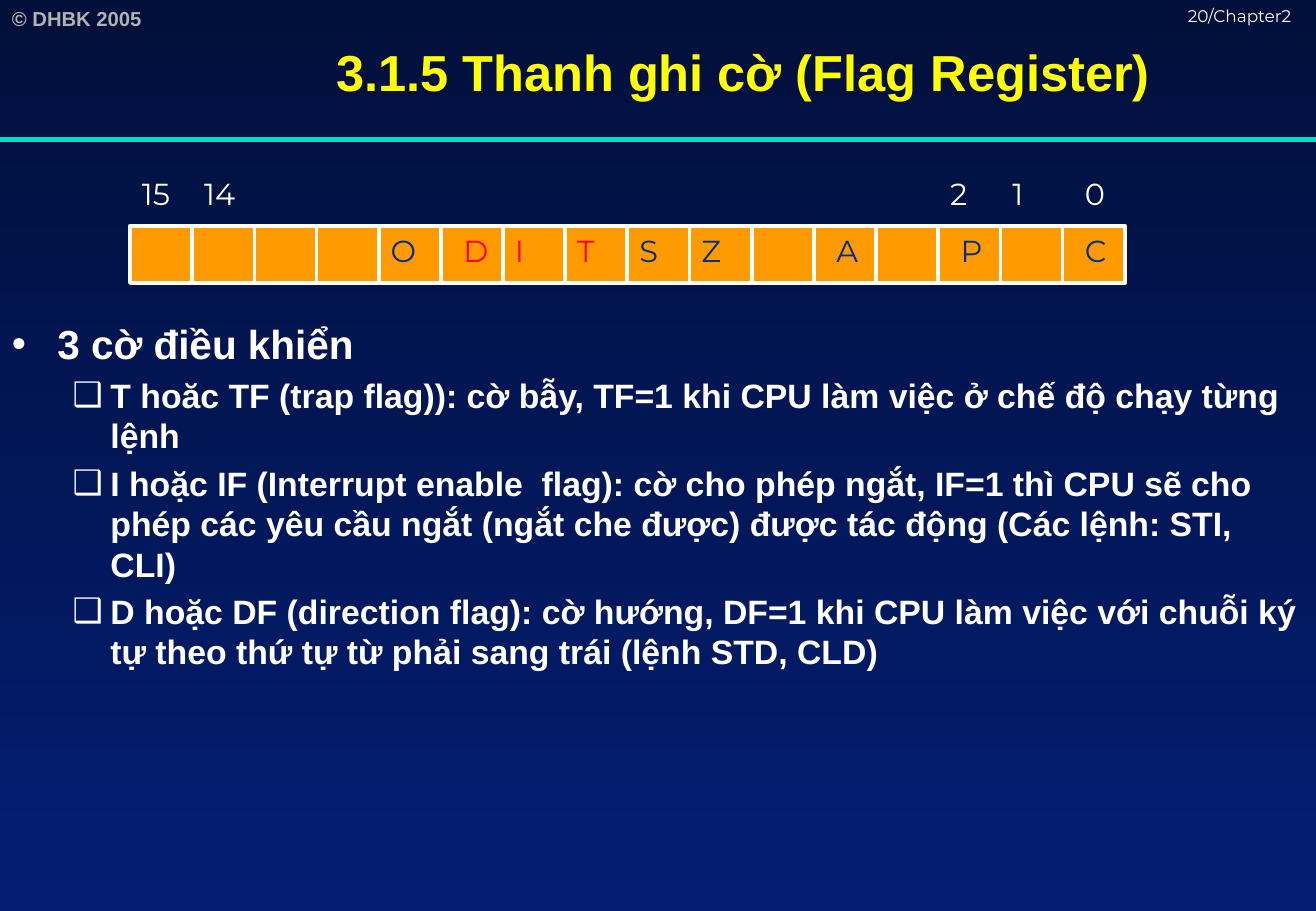
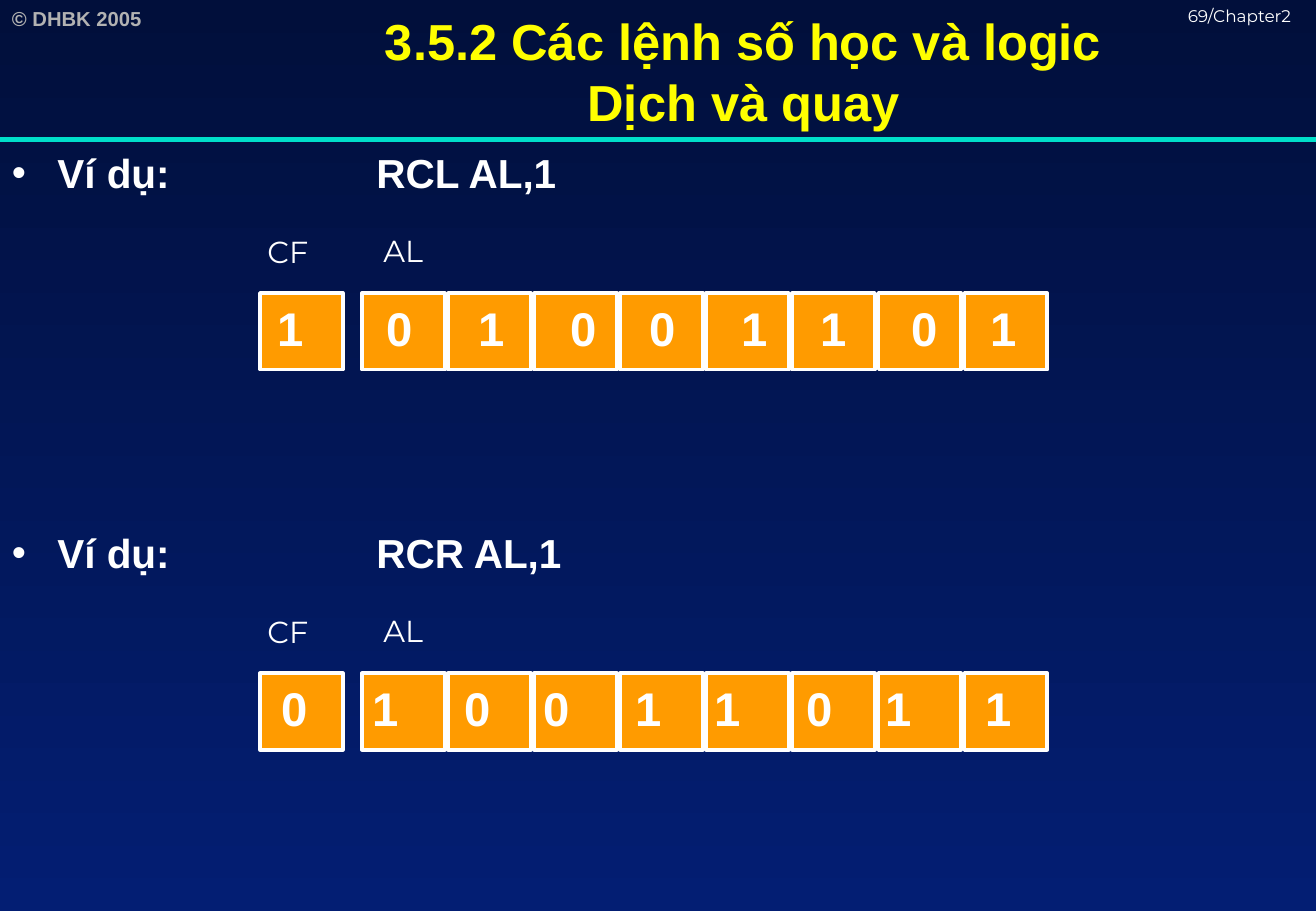
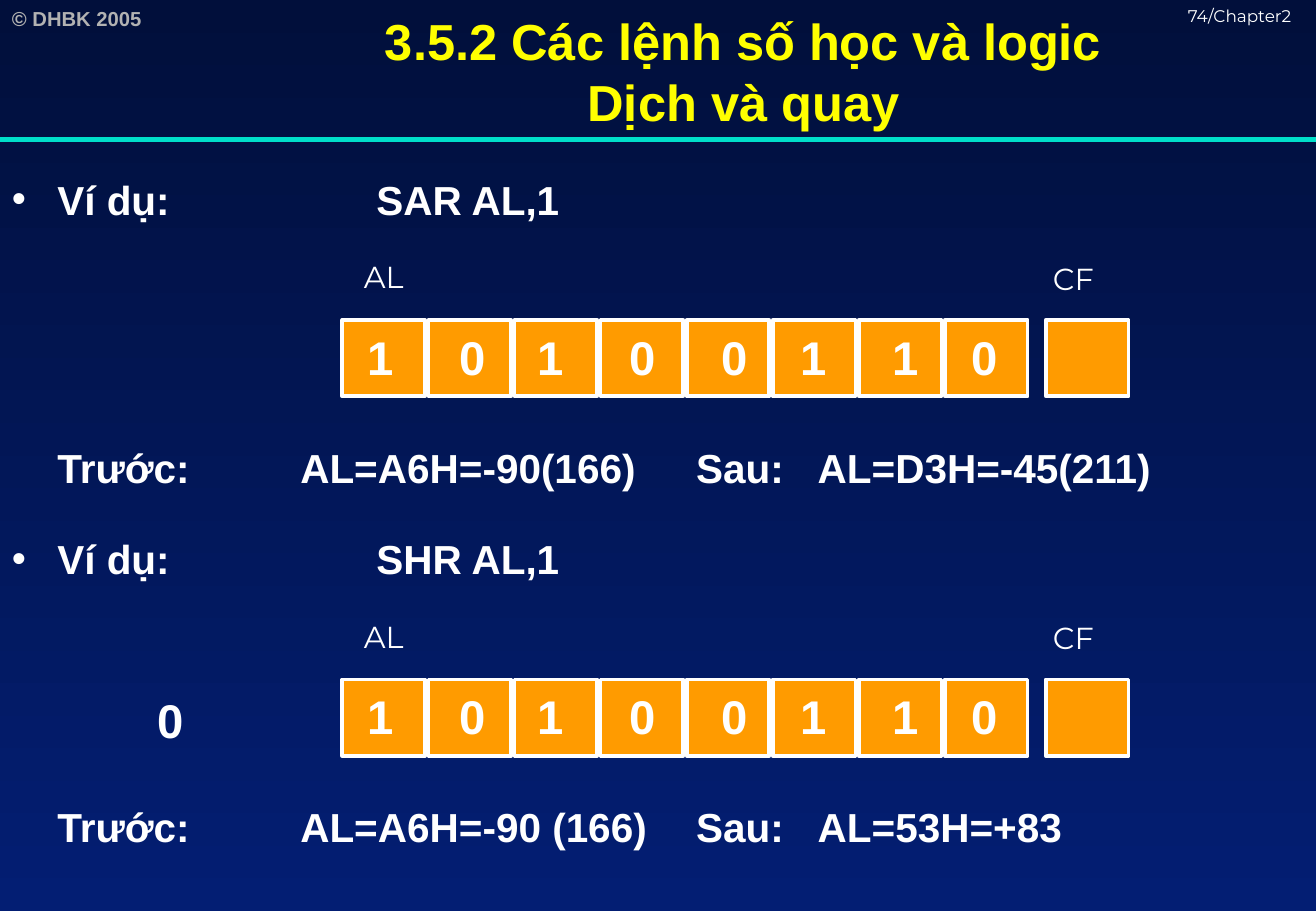
from itertools import accumulate

from lxml.etree import SubElement
from pptx import Presentation
from pptx.dml.color import RGBColor
from pptx.enum.shapes import MSO_CONNECTOR, MSO_SHAPE
from pptx.enum.text import MSO_ANCHOR, PP_ALIGN
from pptx.oxml.ns import qn
from pptx.util import Cm, Pt

WIDE, HIGH = 27.52, 19.05
WHITE, ORANGE, TEAL, NAVY, RED = "FFFFFF", "FF9B00", "00DFCA", "012E91", "FF0028"
STYLES = {
    "title": ({"name": "Arial", "size": Pt(30), "bold": True}, "FFFF00"),
    "body": ({"name": "Arial", "size": Pt(24), "bold": True}, WHITE),
    "sub": ({"name": "Arial", "size": Pt(20), "bold": True}, WHITE),
    "bit": ({"name": "Arial", "size": Pt(28), "bold": True}, WHITE),
    "label": ({"name": "Montserrat", "size": Pt(18)}, WHITE),
    "page": ({"name": "Montserrat", "size": Pt(10)}, WHITE),
    "mark": ({"name": "Arial", "size": Pt(12), "bold": True}, "B2B2B2"),
}
BULLETS = {"body": ("•", 0.95, 0.95), "sub": ("❑", 2.06, 0.79)}
CELL, TALL, PITCH = 1.73, 1.6, 1.8
GAPS = {"w": 1.92, "n": 1.65}


def paint(code):
    """Turn a hex string into a colour."""
    return RGBColor.from_string(code)


class Deck:
    """Hold the style and the current slide."""

    def __init__(self):
        """Set the slide size and the shared background."""
        self.show = Presentation()
        self.show.slide_width, self.show.slide_height = Cm(WIDE), Cm(HIGH)
        fill = self.show.slide_master.background.fill
        fill.gradient()
        fill.gradient_angle = 270
        for stop, code in zip(fill.gradient_stops, ("010F3B", "031E73")):
            stop.color.rgb = paint(code)

    def page(self, number, title):
        """Start a slide with its header and title."""
        self.slide = self.show.slides.add_slide(self.show.slide_layouts[6])
        self.text(0, 0, 4, 0.75, "© DHBK 2005", "mark")
        self.line(0, 2.92, WIDE, 2.92, TEAL, 3)
        self.text(24.59, 0, 2.9, 0.64, f"{number}/Chapter2", "page")
        box = self.text(3.58, 0, 23.94, 2.97, title, "title")
        box.vertical_anchor = MSO_ANCHOR.MIDDLE
        box.paragraphs[0].alignment = PP_ALIGN.CENTER

    def style(self, para, words, kind, code=None, stops=()):
        """Fill a paragraph with styled text and tab stops."""
        para.text = words
        if stops:
            tabs = SubElement(para._p.get_or_add_pPr(), qn("a:tabLst"))
            for stop in stops:
                SubElement(tabs, qn("a:tab"), pos=str(Cm(stop)), algn="l")
        form, shade = STYLES[kind]
        for run in para.runs:
            for key, value in form.items():
                setattr(run.font, key, value)
            run.font.color.rgb = paint(code or shade)

    def text(self, left, top, width, height, words, kind, code=None, stops=()):
        """Add a text box of one paragraph."""
        box = self.slide.shapes.add_textbox(Cm(left), Cm(top), Cm(width), Cm(height))
        frame = box.text_frame
        frame.word_wrap = True
        self.style(frame.paragraphs[0], words, kind, code, stops)
        return frame

    def points(self, top, height, items):
        """Add a bulleted list of style and text pairs."""
        frame = self.text(0, top, WIDE, height, "", "body")
        for rank, (kind, words) in enumerate(items):
            para = frame.add_paragraph() if rank else frame.paragraphs[0]
            sign, margin, hang = BULLETS[kind]
            props = para._p.get_or_add_pPr()
            props.set("marL", str(Cm(margin)))
            props.set("indent", str(-Cm(hang)))
            SubElement(props, qn("a:buFont"), typeface="Arial")
            SubElement(props, qn("a:buChar"), char=sign)
            if rank:
                para.space_before = Pt(4)
            self.style(para, words, kind)

    def line(self, left, top, right, bottom, code, weight):
        """Add a straight line."""
        line = self.slide.shapes.add_connector(
            MSO_CONNECTOR.STRAIGHT, Cm(left), Cm(top), Cm(right), Cm(bottom))
        line.line.color.rgb = paint(code)
        line.line.width = Pt(weight)
        SubElement(line._element.spPr, qn("a:effectLst"))

    def cell(self, left, top, width=CELL, height=TALL):
        """Add an orange box with a white edge."""
        box = self.slide.shapes.add_shape(
            MSO_SHAPE.RECTANGLE, Cm(left), Cm(top), Cm(width), Cm(height))
        box.shadow.inherit = False
        box.fill.solid()
        box.fill.fore_color.rgb = paint(ORANGE)
        box.line.color.rgb = paint(WHITE)
        box.line.width = Pt(2.25)

    def bits(self, left, top, digits, gaps=""):
        """Add a row of digits set apart by wide and narrow gaps."""
        stops = [round(stop, 2) for stop in accumulate(GAPS[gap] for gap in gaps)]
        width = 1.5 + sum(GAPS[gap] for gap in gaps)
        self.text(left, top, width, 1.45, "\t".join(digits), "bit", stops=stops)

    def sample(self, top, order, byte, carry):
        """Add an example heading with the AL and CF cells."""
        self.points(top, 1.6, [("body", "Ví dụ:")])
        self.text(7.62, top, 10, 1.2, order, "body")
        for step in range(8):
            self.cell(byte + step * PITCH, top + 3.16)
        self.cell(carry, top + 3.16)
        self.text(byte + 0.2, top + 1.75, 1.6, 1.02, "AL", "label")
        self.text(carry - 0.1, top + 1.78, 1.6, 1.02, "CF", "label")


def flags(deck):
    """Build the flag register slide."""
    deck.page(20, "3.1.5 Thanh ghi cờ (Flag Register)")
    deck.points(6.55, 12.5, [
        ("body", "3 cờ điều khiển"),
        ("sub", "T hoăc TF (trap flag)): cờ bẫy, TF=1 khi CPU làm việc ở chế độ "
                "chạy từng lệnh"),
        ("sub", "I hoặc IF (Interrupt enable  flag): cờ cho phép ngắt, IF=1 thì CPU "
                "sẽ cho phép các yêu cầu ngắt (ngắt che được) được tác động "
                "(Các lệnh: STI, CLI)"),
        ("sub", "D hoặc DF (direction flag): cờ hướng, DF=1 khi CPU làm việc với "
                "chuỗi ký tự theo thứ tự từ phải sang trái (lệnh STD, CLD)"),
    ])
    left, top, tall, pitch = 2.72, 4.72, 1.2, 1.3
    for group in range(4):
        start = left + group * 4 * pitch
        deck.cell(start, top, 4 * pitch, tall)
        for step in range(1, 4):
            spot = start + step * pitch
            deck.line(spot, top, spot, top + tall, WHITE, 2.25)
    ranks = [("15", 0, 0), ("14", 1, 0), ("2", 13, 0), ("1", 14, 0), ("0", 15, 0.22)]
    names = [("O", 4, 0), ("D", 5, 0.22), ("I", 6, 0), ("T", 7, 0), ("S", 8, 0),
             ("Z", 9, 0), ("A", 11, 0.22), ("P", 13, 0.22), ("C", 15, 0.22)]
    for word, slot, nudge in ranks:
        deck.text(left + slot * pitch + nudge, 3.53, 1.5, 1.02, word, "label")
    for word, slot, nudge in names:
        code = RED if word in "DIT" else NAVY
        deck.text(left + slot * pitch + nudge, top, 1.5, 1.02, word, "label", code)


def rotate(deck):
    """Build the rotate slide."""
    deck.page(69, "3.5.2 Các lệnh số học và logic\vDịch và quay")
    rows = [(2.97, "RCL AL,1", 7.84, 5.56), (10.92, "RCR AL,1", 5.63, 20.37)]
    for top, order, start, extra in rows:
        deck.sample(top, order, 7.57, 5.44)
        deck.bits(start, top + 3.17, "01001101", "wwnwnwn")
        deck.bits(extra, top + 3.17, "1")


def shift(deck):
    """Build the shift slide."""
    deck.page(74, "3.5.2 Các lệnh số học và logic\vDịch và quay")
    rows = [(3.53, "SAR AL,1", "AL=A6H=-90(166)", "AL=D3H=-45(211)"),
            (11.05, "SHR AL,1", "AL=A6H=-90 (166)", "AL=53H=+83")]
    for top, order, old, new in rows:
        deck.sample(top, order, 7.16, 21.87)
        deck.bits(7.43, top + 3.2, "10100110", "wnwwnwn")
        deck.text(0.95, top + 5.6, 26, 1.2, f"Trước:\t{old}\tSau:\t{new}", "body",
                  stops=(5.08, 13.36, 15.9))
    deck.bits(3.04, 14.33, "0")


def main():
    """Build and save the deck."""
    deck = Deck()
    for build in (flags, rotate, shift):
        build(deck)
    deck.show.save("out.pptx")


if __name__ == "__main__":
    main()
